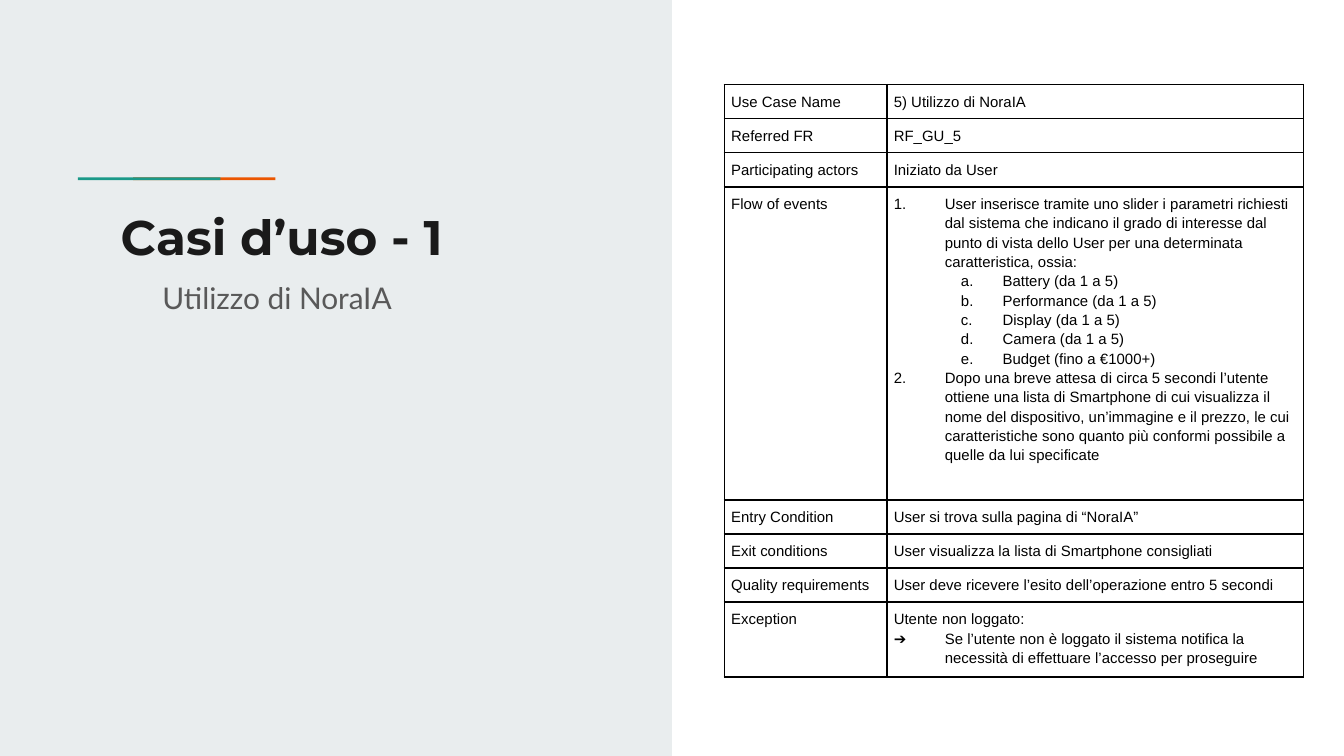
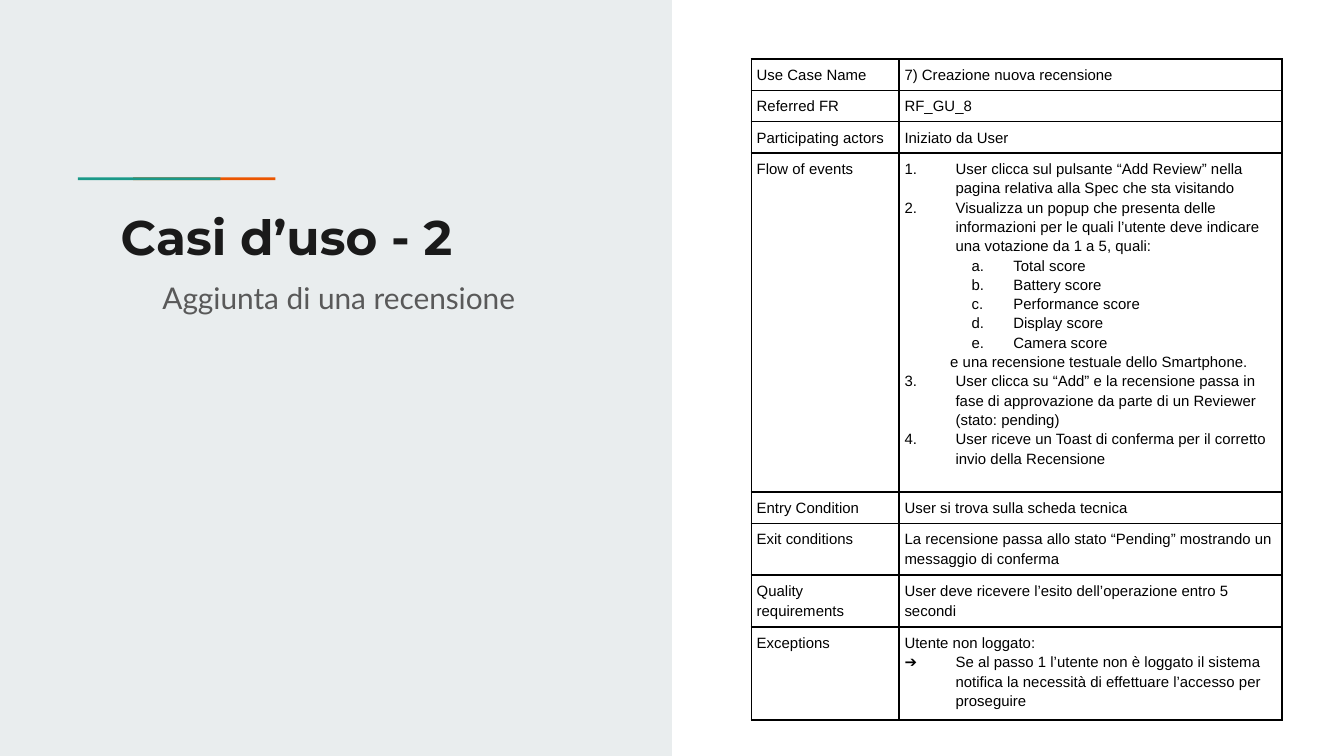
from dataclasses import dataclass

from lxml.etree import SubElement
from pptx import Presentation
from pptx.dml.color import RGBColor as Color
from pptx.enum.shapes import MSO_SHAPE as Shape
from pptx.oxml.ns import qn
from pptx.util import Inches, Pt


@dataclass(frozen=True)
class Theme:
    panel: str = "E9EDEE"
    orange: str = "EB5600"
    teal: str = "1A9988"
    title: str = "1A1A1A"
    subtitle: str = "595959"
    ink: str = "000000"
    title_font: str = "Montserrat"
    subtitle_font: str = "Lato"
    table_font: str = "Arial"
    title_size: int = 26
    subtitle_size: int = 16
    table_size: int = 8
    border: int = 1
    line_spacing: float = 1.15


THEME = Theme()
WIDTH = 10
HEIGHT = WIDTH * 9 / 16

LIST_STYLES = {
    "plain": dict(level=0, left=0, hang=0, bullet=None),
    "inset": dict(level=0, left=0.34, hang=0, bullet=None),
    "step": dict(level=0, left=0.38, hang=0.38, bullet=("buAutoNum", {"type": "arabicPeriod"})),
    "resumed": dict(level=0, left=0.38, hang=0.38,
                    bullet=("buAutoNum", {"type": "arabicPeriod", "startAt": "3"})),
    "letter": dict(level=1, left=0.81, hang=0.31, bullet=("buAutoNum", {"type": "alphaLcPeriod"})),
    "arrow": dict(level=0, left=0.38, hang=0.38, bullet=("buChar", {"char": "➔"})),
}

USE_CASES = [
    dict(
        title="Casi d’uso - 1",
        subtitle="Utilizzo di NoraIA",
        corner=(5.39, 0.63),
        columns=(1.21, 3.1),
        heights=(0.24, 0.24, 0.24, 2.33, 0.24, 0.24, 0.24, 0.56),
        margin=0.05,
        rows=[
            ("Use Case Name", "5) Utilizzo di NoraIA"),
            ("Referred FR", "RF_GU_5"),
            ("Participating actors", "Iniziato da User"),
            ("Flow of events", [
                ("step", "User inserisce tramite uno slider i parametri richiesti dal sistema "
                         "che indicano il grado di interesse dal punto di vista dello User per "
                         "una determinata caratteristica, ossia:"),
                ("letter", "Battery (da 1 a 5)"),
                ("letter", "Performance (da 1 a 5)"),
                ("letter", "Display (da 1 a 5)"),
                ("letter", "Camera (da 1 a 5)"),
                ("letter", "Budget (fino a €1000+)"),
                ("step", "Dopo una breve attesa di circa 5 secondi l’utente ottiene una lista "
                         "di Smartphone di cui visualizza il nome del dispositivo, un’immagine "
                         "e il prezzo, le cui caratteristiche sono quanto più conformi "
                         "possibile a quelle da lui specificate"),
            ]),
            ("Entry Condition", "User si trova sulla pagina di “NoraIA”"),
            ("Exit conditions", "User visualizza la lista di Smartphone consigliati"),
            ("Quality requirements", "User deve ricevere l’esito dell’operazione entro 5 secondi"),
            ("Exception", [
                ("plain", "Utente non loggato:"),
                ("arrow", "Se l’utente non è loggato il sistema notifica la necessità di "
                          "effettuare l’accesso per proseguire"),
            ]),
        ],
    ),
    dict(
        title="Casi d’uso - 2",
        subtitle="Aggiunta di una recensione",
        corner=(5.59, 0.44),
        columns=(1.1, 2.85),
        heights=(0.23, 0.23, 0.23, 2.51, 0.23, 0.38, 0.38, 0.66),
        margin=0.04,
        rows=[
            ("Use Case Name", "7) Creazione nuova recensione"),
            ("Referred FR", "RF_GU_8"),
            ("Participating actors", "Iniziato da User"),
            ("Flow of events", [
                ("step", "User clicca sul pulsante “Add Review” nella pagina relativa alla "
                         "Spec che sta visitando"),
                ("step", "Visualizza un popup che presenta delle informazioni per le quali "
                         "l’utente deve indicare una votazione da 1 a 5, quali:"),
                ("letter", "Total score"),
                ("letter", "Battery score"),
                ("letter", "Performance score"),
                ("letter", "Display score"),
                ("letter", "Camera score"),
                ("inset", "e una recensione testuale dello Smartphone."),
                ("resumed", "User clicca su “Add” e la recensione passa in fase di approvazione "
                            "da parte di un Reviewer (stato: pending)"),
                ("resumed", "User riceve un Toast di conferma per il corretto invio della "
                            "Recensione"),
            ]),
            ("Entry Condition", "User si trova sulla scheda tecnica"),
            ("Exit conditions", "La recensione passa allo stato “Pending” mostrando un "
                                "messaggio di conferma"),
            ("Quality requirements", "User deve ricevere l’esito dell’operazione entro 5 secondi"),
            ("Exceptions", [
                ("plain", "Utente non loggato:"),
                ("arrow", "Se al passo 1 l’utente non è loggato il sistema notifica la "
                          "necessità di effettuare l’accesso per proseguire"),
            ]),
        ],
    ),
]


def set_font(para, name, size, color, bold=False):
    font = para.font
    font.name, font.size, font.bold = name, Pt(size), bold
    font.color.rgb = Color.from_string(color)


def set_indent(para, left, hang):
    properties = para._p.get_or_add_pPr()
    properties.set("marL", str(Inches(left)))
    properties.set("indent", str(-Inches(hang)))
    return properties


def add_bar(page, left, top, width, height, color):
    bar = page.shapes.add_shape(Shape.RECTANGLE, *map(Inches, (left, top, width, height)))
    bar.shadow.inherit = False
    bar.fill.solid()
    bar.fill.fore_color.rgb = Color.from_string(color)
    bar.line.fill.background()


def add_heading(page, text, left, top, width, height):
    box = page.shapes.add_textbox(*map(Inches, (left, top, width, height)))
    frame = box.text_frame
    frame.word_wrap = True
    frame.margin_left = frame.margin_right = Inches(0.1)
    frame.margin_top = frame.margin_bottom = Inches(0.1)
    para = frame.paragraphs[0]
    para.text = text
    return para


def add_frame(page, title, subtitle):
    add_bar(page, 0, 0, WIDTH / 2, HEIGHT, THEME.panel)
    add_bar(page, 0.99, 1.32, 1.06, 0.02, THEME.orange)
    add_bar(page, 0.58, 1.32, 1.06, 0.02, THEME.teal)
    para = add_heading(page, title, 0.8, 1.44, 3.61, 1.85)
    set_font(para, THEME.title_font, THEME.title_size, THEME.title, bold=True)
    para = add_heading(page, subtitle, 0.95, 1.98, 3.61, 0.83)
    set_indent(para, 0.5, 0.34)
    set_font(para, THEME.subtitle_font, THEME.subtitle_size, THEME.subtitle)


def write_para(para, style, text):
    look = LIST_STYLES[style]
    para.text = text
    para.level = look["level"]
    para.line_spacing = THEME.line_spacing
    properties = set_indent(para, look["left"], look["hang"])
    if look["bullet"]:
        tag, attributes = look["bullet"]
        color = SubElement(properties, qn("a:buClr"))
        SubElement(color, qn("a:srgbClr"), val=THEME.ink)
        SubElement(properties, qn("a:buFont"), typeface=THEME.table_font)
        SubElement(properties, qn("a:" + tag), attributes)
    set_font(para, THEME.table_font, THEME.table_size, THEME.ink)


def draw_borders(cell):
    properties = cell._tc.get_or_add_tcPr()
    for side in ("lnL", "lnR", "lnT", "lnB"):
        line = SubElement(properties, qn("a:" + side), w=str(Pt(THEME.border)))
        fill = SubElement(line, qn("a:solidFill"))
        SubElement(fill, qn("a:srgbClr"), val=THEME.ink)


def fill_cell(cell, content, margin):
    cell.margin_left = cell.margin_right = Inches(margin)
    cell.margin_top = cell.margin_bottom = Inches(margin)
    draw_borders(cell)
    cell.fill.background()
    lines = [("plain", content)] if isinstance(content, str) else content
    frame = cell.text_frame
    for index, (style, text) in enumerate(lines):
        para = frame.add_paragraph() if index else frame.paragraphs[0]
        write_para(para, style, text)


def add_use_case_table(page, case):
    rows, columns, heights = case["rows"], case["columns"], case["heights"]
    area = (*case["corner"], sum(columns), sum(heights))
    table = page.shapes.add_table(len(rows), len(columns), *map(Inches, area)).table
    table.first_row = table.horz_banding = False
    for column, width in zip(table.columns, columns):
        column.width = Inches(width)
    for row, height, contents in zip(table.rows, heights, rows):
        row.height = Inches(height)
        for cell, content in zip(row.cells, contents):
            fill_cell(cell, content, case["margin"])


deck = Presentation()
deck.slide_width, deck.slide_height = Inches(WIDTH), Inches(HEIGHT)
for case in USE_CASES:
    page = deck.slides.add_slide(deck.slide_layouts[6])
    add_frame(page, case["title"], case["subtitle"])
    add_use_case_table(page, case)
deck.save("out.pptx")
